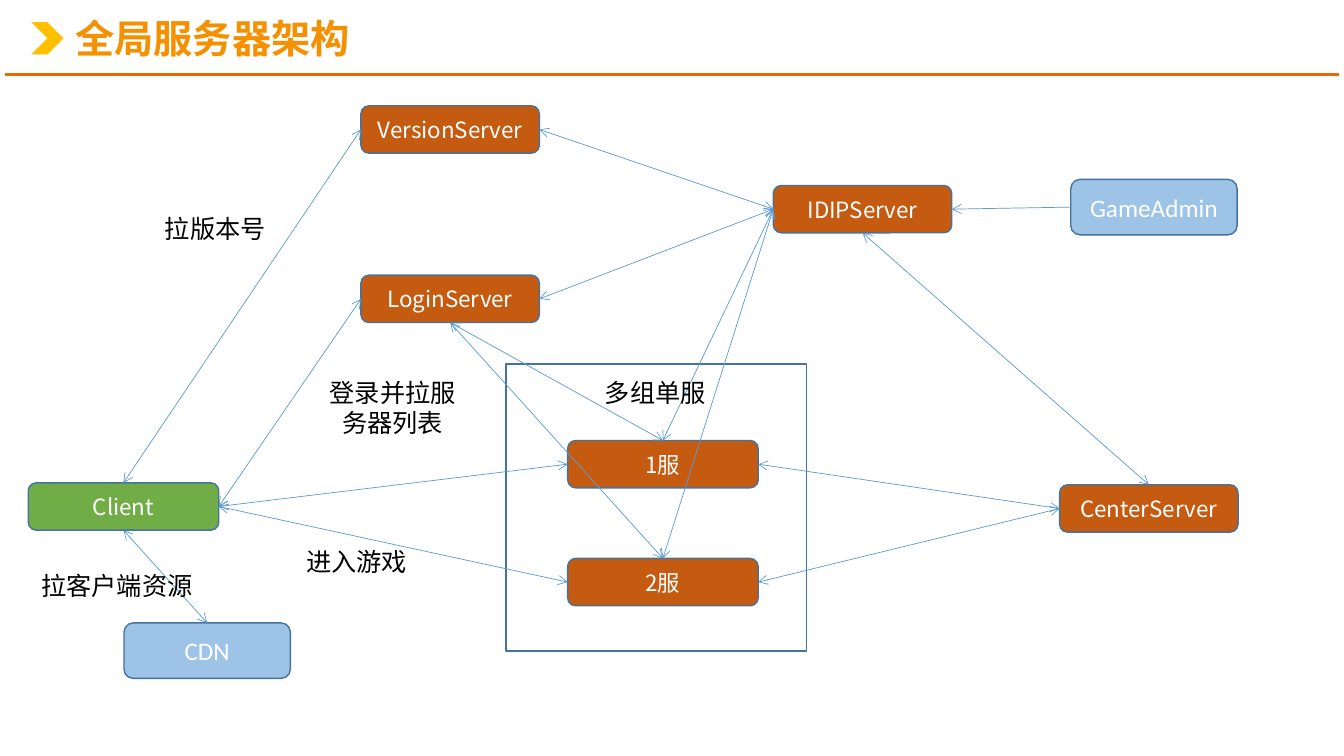
from lxml import etree
from pptx import Presentation
from pptx.dml.color import RGBColor
from pptx.enum.shapes import MSO_CONNECTOR as LINE, MSO_SHAPE as SHAPE
from pptx.enum.text import MSO_ANCHOR as ANCHOR, PP_ALIGN as ALIGN
from pptx.oxml.ns import qn
from pptx.util import Inches, Pt

COLORS = {
    "title": "F59000", "rule": "EC6901", "chevron": "FFC000",
    "client": "70AD47", "server": "C55A11", "external": "9DC3E6",
    "outline": "43739E", "link": "5B9BD5", "white": "FFFFFF", "black": "000000",
}
CJK_FONT = "Noto Sans CJK SC"
LATIN_FONT = "Calibri"
TOP, LEFT, BOTTOM, RIGHT = range(4)  # connection sites of a box


def rgb(name):
    return RGBColor.from_string(COLORS[name])


def write(shape, text, size=18, font=LATIN_FONT, color="black", bold=False,
          align=ALIGN.CENTER, anchor=ANCHOR.TOP, spacing=None):
    frame = shape.text_frame
    frame.word_wrap = True
    frame.vertical_anchor = anchor
    paragraph = frame.paragraphs[0]
    paragraph.alignment = align
    paragraph.line_spacing = spacing
    run = paragraph.add_run()
    run.text = text
    run.font.size = Pt(size)
    run.font.name = font
    run.font.bold = bold
    run.font.color.rgb = rgb(color)
    east_asian = etree.SubElement(run.font._element, qn("a:ea"))
    east_asian.set("typeface", CJK_FONT)


prs = Presentation()
prs.slide_width, prs.slide_height = Inches(13.33), Inches(7.5)
slide = prs.slides.add_slide(prs.slide_layouts[6])
shapes = slide.shapes

# Header
rule = shapes.add_connector(LINE.STRAIGHT, Inches(0.05), Inches(0.74), Inches(13.28), Inches(0.74))
rule.line.color.rgb = rgb("rule")
rule.line.width = Pt(2)
etree.SubElement(rule._element.spPr, qn("a:effectLst"))

chevron = shapes.add_shape(SHAPE.CHEVRON, Inches(0.31), Inches(0.22), Inches(0.32), Inches(0.32))
chevron.shadow.inherit = False
chevron.fill.solid()
chevron.fill.fore_color.rgb = rgb("chevron")
chevron.line.fill.background()

title = shapes.add_textbox(Inches(0.65), Inches(0.09), Inches(5.61), Inches(0.63))
write(title, "全局服务器架构", size=28, font=CJK_FONT, color="title", bold=True,
      align=ALIGN.LEFT, anchor=ANCHOR.MIDDLE, spacing=0.9)

# Nodes: text, left, top, width, height, fill
nodes = {}
for text, left, top, width, height, fill in [
    ("Client", 0.28, 4.79, 1.89, 0.47, "client"),
    ("2服", 5.63, 5.54, 1.89, 0.47, "server"),
    ("1服", 5.63, 4.37, 1.89, 0.47, "server"),
    ("VersionServer", 3.58, 1.05, 1.77, 0.47, "server"),
    ("LoginServer", 3.58, 2.73, 1.77, 0.47, "server"),
    ("IDIPServer", 7.67, 1.84, 1.77, 0.47, "server"),
    ("CenterServer", 10.51, 4.81, 1.77, 0.47, "server"),
    ("GameAdmin", 10.62, 1.78, 1.65, 0.55, "external"),
    ("CDN", 1.23, 6.18, 1.65, 0.55, "external"),
]:
    node = shapes.add_shape(SHAPE.ROUNDED_RECTANGLE, Inches(left), Inches(top),
                            Inches(width), Inches(height))
    node.shadow.inherit = False
    node.fill.solid()
    node.fill.fore_color.rgb = rgb(fill)
    node.line.color.rgb = rgb("outline")
    node.line.width = Pt(1)
    external = fill == "external"
    write(node, text, size=18 if external else 16, font=LATIN_FONT if external else CJK_FONT,
          color="white", anchor=ANCHOR.MIDDLE)
    nodes[text] = node

# Frame around the game servers
server_group = shapes.add_shape(SHAPE.RECTANGLE, Inches(5.02), Inches(3.61), Inches(2.98), Inches(2.85))
server_group.shadow.inherit = False
server_group.fill.background()
server_group.line.color.rgb = rgb("outline")
server_group.line.width = Pt(1)

# Links between nodes; only the one from GameAdmin is one-way
for start, start_site, end, end_site in [
    ("Client", RIGHT, "2服", LEFT),
    ("Client", RIGHT, "1服", LEFT),
    ("Client", TOP, "VersionServer", LEFT),
    ("Client", RIGHT, "LoginServer", LEFT),
    ("Client", BOTTOM, "CDN", TOP),
    ("2服", TOP, "IDIPServer", LEFT),
    ("1服", TOP, "IDIPServer", LEFT),
    ("LoginServer", RIGHT, "IDIPServer", LEFT),
    ("VersionServer", RIGHT, "IDIPServer", LEFT),
    ("GameAdmin", LEFT, "IDIPServer", RIGHT),
    ("2服", RIGHT, "CenterServer", LEFT),
    ("1服", RIGHT, "CenterServer", LEFT),
    ("LoginServer", BOTTOM, "2服", TOP),
    ("LoginServer", BOTTOM, "1服", TOP),
    ("CenterServer", TOP, "IDIPServer", BOTTOM),
]:
    link = shapes.add_connector(LINE.STRAIGHT, 0, 0, 0, 0)
    link.begin_connect(nodes[start], start_site)
    link.end_connect(nodes[end], end_site)
    link.line.color.rgb = rgb("link")
    link.line.width = Pt(0.5)
    for tip in ["tailEnd"] if start == "GameAdmin" else ["headEnd", "tailEnd"]:
        etree.SubElement(link.line._get_or_add_ln(), qn(f"a:{tip}")).set("type", "arrow")
    etree.SubElement(link._element.spPr, qn("a:effectLst"))

# Labels: text, left, top, width, height, alignment
for text, left, top, width, height, align in [
    ("多组单服", 5.9, 3.69, 1.35, 0.4, ALIGN.LEFT),
    ("拉版本号", 1.51, 2.07, 1.25, 0.4, ALIGN.CENTER),
    ("拉客户端资源", 0.26, 5.61, 1.8, 0.4, ALIGN.CENTER),
    ("登录并拉服务器列表", 3.15, 3.69, 1.49, 0.71, ALIGN.CENTER),
    ("进入游戏", 2.76, 5.37, 1.55, 0.4, ALIGN.CENTER),
]:
    label = shapes.add_textbox(Inches(left), Inches(top), Inches(width), Inches(height))
    write(label, text, align=align)

prs.save("out.pptx")
